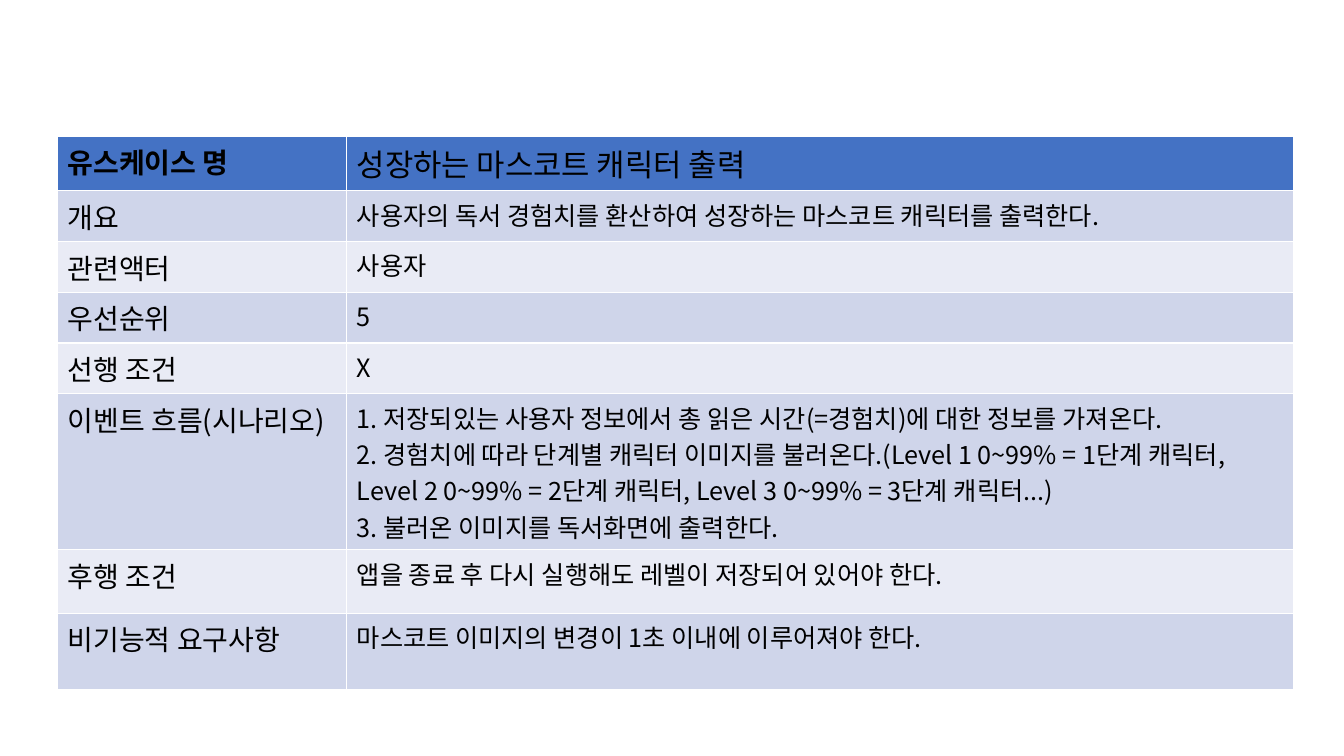
from dataclasses import dataclass

from lxml.etree import SubElement
from pptx import Presentation
from pptx.dml.color import RGBColor
from pptx.oxml.ns import qn
from pptx.util import Inches, Pt

# (label, paragraphs of the description, row height in inches)
USE_CASE_ROWS = [
    ("유스케이스 명", ["성장하는 마스코트 캐릭터 출력"], 0.39),
    ("개요", ["사용자의 독서 경험치를 환산하여 성장하는 마스코트 캐릭터를 출력한다."], 0.41),
    ("관련액터", ["사용자"], 0.41),
    ("우선순위", ["5"], 0.39),
    ("선행 조건", ["X"], 0.41),
    ("이벤트 흐름(시나리오)", [
        "1. 저장되있는 사용자 정보에서 총 읽은 시간(=경험치)에 대한 정보를 가져온다.",
        "2. 경험치에 따라 단계별 캐릭터 이미지를 불러온다."
        "(Level 1 0~99% = 1단계 캐릭터, Level 2 0~99% = 2단계 캐릭터, "
        "Level 3 0~99% = 3단계 캐릭터...)",
        "3. 불러온 이미지를 독서화면에 출력한다.",
    ], 0.69),
    ("후행 조건", ["앱을 종료 후 다시 실행해도 레벨이 저장되어 있어야 한다."], 0.63),
    ("비기능적 요구사항", ["마스코트 이미지의 변경이 1초 이내에 이루어져야 한다."], 0.76),
]
COLUMN_WIDTHS = [2.87, 9.39]
TABLE_LEFT, TABLE_TOP = 0.57, 1.35


@dataclass(frozen=True)
class Theme:
    font: str = "Noto Sans CJK KR"
    text: RGBColor = RGBColor(0x00, 0x00, 0x00)
    header: RGBColor = RGBColor(0x44, 0x72, 0xC4)
    odd_band: RGBColor = RGBColor(0xCF, 0xD5, 0xEA)
    even_band: RGBColor = RGBColor(0xE9, 0xEB, 0xF5)
    label_size: int = 20
    title_size: int = 22
    body_size: int = 18


THEME = Theme()


def fill_cell(cell, lines, fill, size, bold):
    cell.fill.solid()
    cell.fill.fore_color.rgb = fill
    cell.text_frame.text = "\n".join(lines)
    for paragraph in cell.text_frame.paragraphs:
        for run in paragraph.runs:
            run.font.name = THEME.font
            run.font.size = Pt(size)
            run.font.bold = bold
            run.font.color.rgb = THEME.text
            # Korean glyphs take the East Asian typeface
            SubElement(run.font._element, qn("a:ea"), typeface=THEME.font)


def add_use_case_table(slide):
    total_height = sum(height for _, _, height in USE_CASE_ROWS)
    table = slide.shapes.add_table(
        len(USE_CASE_ROWS), len(COLUMN_WIDTHS),
        Inches(TABLE_LEFT), Inches(TABLE_TOP),
        Inches(sum(COLUMN_WIDTHS)), Inches(total_height),
    ).table
    for column, width in zip(table.columns, COLUMN_WIDTHS):
        column.width = Inches(width)
    for index, (label, description, height) in enumerate(USE_CASE_ROWS):
        is_header = index == 0
        band = THEME.odd_band if index % 2 else THEME.even_band
        fill = THEME.header if is_header else band
        size = THEME.title_size if is_header else THEME.body_size
        table.rows[index].height = Inches(height)
        fill_cell(table.cell(index, 0), [label], fill, THEME.label_size, is_header)
        fill_cell(table.cell(index, 1), description, fill, size, False)


def main():
    presentation = Presentation()
    presentation.slide_width = Inches(13.33)
    presentation.slide_height = Inches(7.5)
    slide = presentation.slides.add_slide(presentation.slide_layouts[6])
    add_use_case_table(slide)
    presentation.save("out.pptx")


if __name__ == "__main__":
    main()
